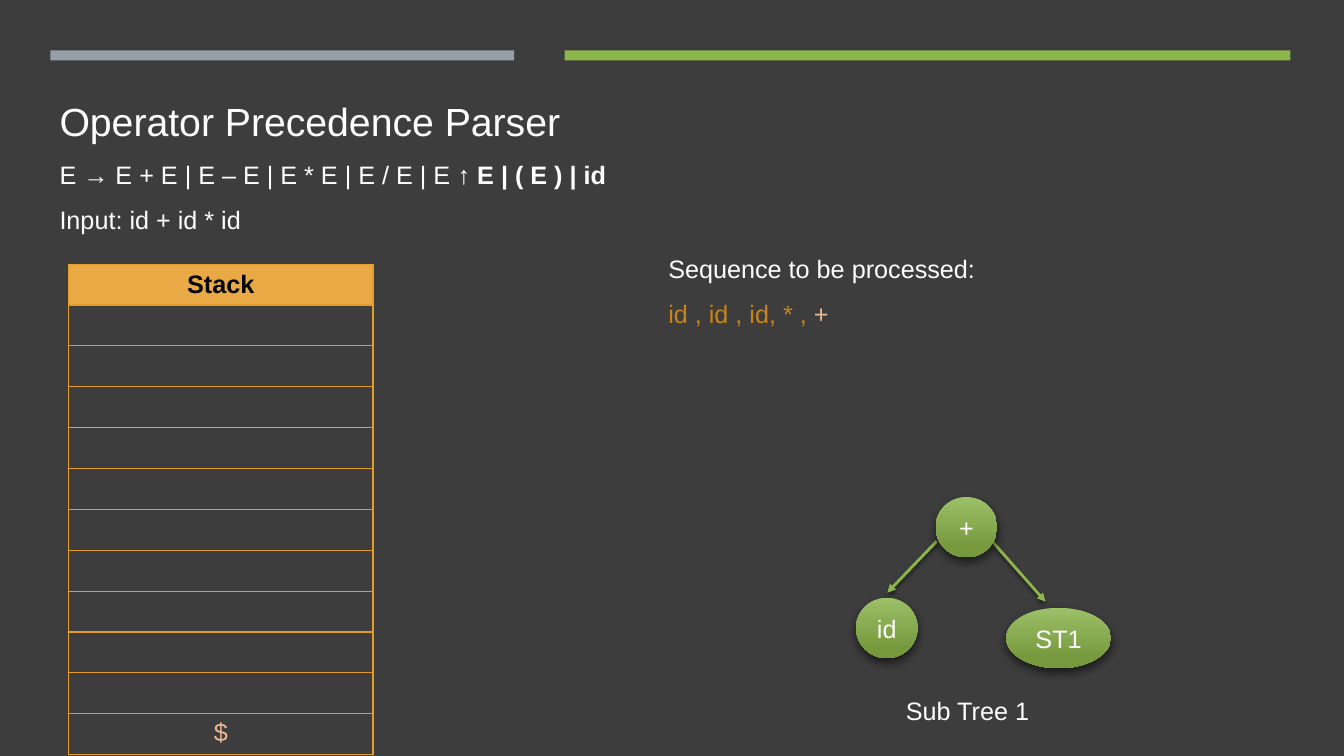
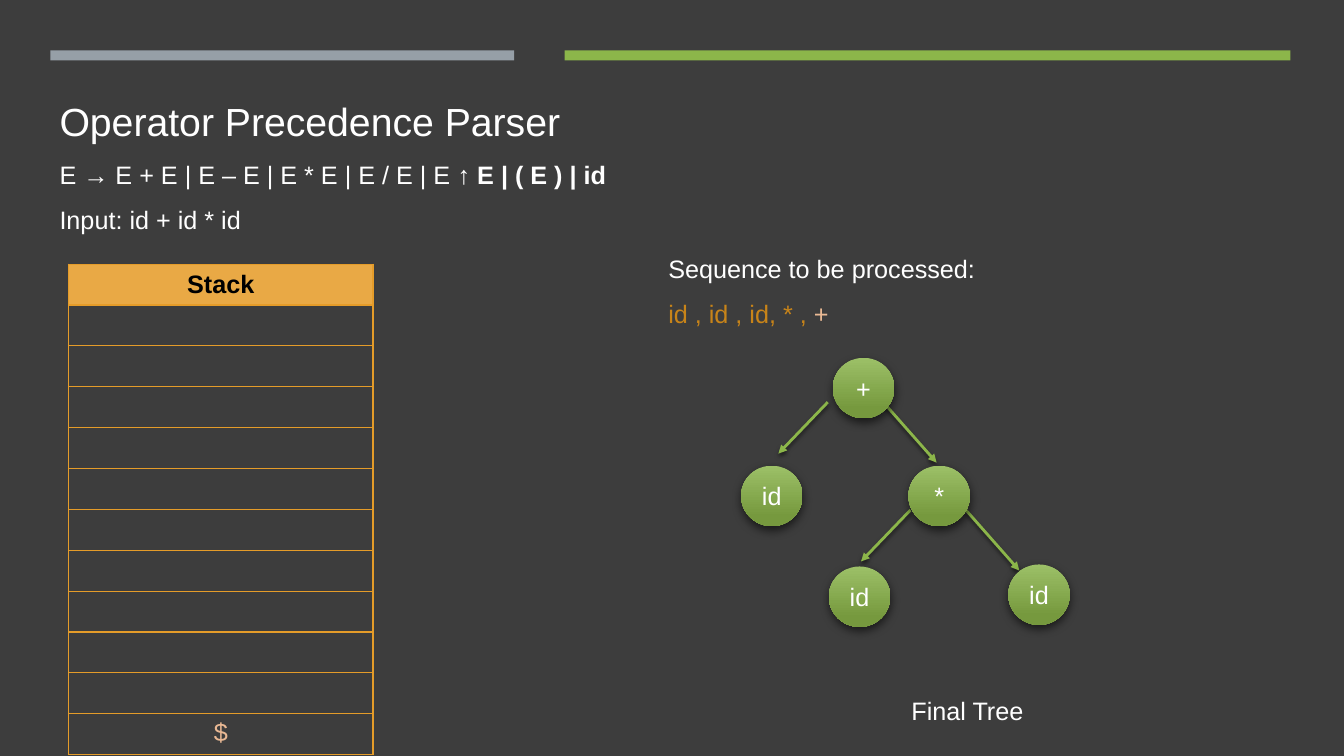
from lxml.etree import SubElement
from pptx import Presentation
from pptx.dml.color import RGBColor
from pptx.enum.shapes import MSO_CONNECTOR, MSO_SHAPE
from pptx.enum.text import MSO_ANCHOR, MSO_AUTO_SIZE, PP_ALIGN
from pptx.oxml.ns import qn
from pptx.util import Inches, Pt

BACKGROUND = RGBColor(0x3D, 0x3D, 0x3D)
WHITE = RGBColor(0xFF, 0xFF, 0xFF)
BLACK = RGBColor(0x00, 0x00, 0x00)
GRAY = RGBColor(0x96, 0x9F, 0xA7)
GREEN = RGBColor(0x8C, 0xB6, 0x4A)
LIGHT_GREEN = RGBColor(0x9C, 0xC0, 0x67)
DARK_GREEN = RGBColor(0x76, 0x99, 0x3E)
HEADER_ORANGE = RGBColor(0xE9, 0xA9, 0x45)
BORDER_ORANGE = RGBColor(0xE5, 0x9C, 0x29)
DONE_ORANGE = RGBColor(0xC8, 0x84, 0x19)
PEACH = RGBColor(0xEA, 0xB9, 0x94)

FONT = "Arial"
STACK_ROWS = 12
NODE_WIDTH, NODE_HEIGHT = 0.61, 0.6
BANDS = [(0.5, 4.6, GRAY), (5.6, 7.2, GREEN)]
TITLE_LINES = [
    [("Operator Precedence Parser", 28, False)],
    [("E\u00a0→ E + E | E – E | E * E | E / E | E\u00a0", 18, False),
     ("↑ E | ( E ) | id", 18, True)],
    [("Input: id + id * id", 18, False)],
]
SEQUENCE = [
    [("Sequence to be processed:", WHITE)],
    [("id , id , id, * , ", DONE_ORANGE), ("+", PEACH)],
]
BRANCHES = [((0, 0), (-0.49, 0.51)), ((0.55, 0), (1.08, 0.6))]
TREES = [
    {
        "caption": "Sub Tree 1",
        "forks": [(9.29, 5.37)],
        "nodes": [("id", 8.49, 5.93, NODE_WIDTH), ("ST1", 9.98, 6.03, 1.04),
                  ("+", 9.28, 4.93, NODE_WIDTH)],
    },
    {
        "caption": "Final Tree",
        "forks": [(9.03, 5.06), (8.21, 3.99)],
        "nodes": [("id", 7.35, 4.62, NODE_WIDTH), ("id", 8.22, 5.62, NODE_WIDTH),
                  ("id", 10, 5.6, NODE_WIDTH), ("*", 9.01, 4.62, NODE_WIDTH),
                  ("+", 8.26, 3.55, NODE_WIDTH)],
    },
]


def style(font, color=WHITE, size=18, bold=False):
    font.name = FONT
    font.size = Pt(size)
    font.bold = bold
    font.color.rgb = color


def add_shadow(shape, opacity, blur, distance, angle):
    effects = SubElement(shape._element.spPr, qn("a:effectLst"))
    shadow = SubElement(effects, qn("a:outerShdw"), blurRad=str(Pt(blur)),
                        dist=str(Pt(distance)), dir=str(angle * 60000),
                        algn="ctr", rotWithShape="0")
    color = SubElement(shadow, qn("a:srgbClr"), val=str(BLACK))
    SubElement(color, qn("a:alpha"), val=str(opacity * 1000))


deck = Presentation()
deck.slide_width = Inches(13.33)
deck.slide_height = Inches(7.5)
background = deck.slide_master.background.fill
background.solid()
background.fore_color.rgb = BACKGROUND

for tree in TREES:
    page = deck.slides.add_slide(deck.slide_layouts[5])
    shapes = page.shapes

    title = shapes.title
    title.left, title.top = Inches(0.49), Inches(0.55)
    title.width, title.height = Inches(6.74), Inches(1.96)
    frame = title.text_frame
    frame.word_wrap = True
    frame.auto_size = MSO_AUTO_SIZE.NONE
    frame.vertical_anchor = MSO_ANCHOR.MIDDLE
    para = frame.paragraphs[0]
    para.alignment = PP_ALIGN.LEFT
    para.line_spacing = 1.5
    for index, line in enumerate(TITLE_LINES):
        if index:
            para.add_line_break()
        for text, size, bold in line:
            span = para.add_run()
            span.text = text
            style(span.font, size=size, bold=bold)

    for left, width, color in BANDS:
        band = shapes.add_shape(MSO_SHAPE.RECTANGLE, Inches(left), Inches(0.5),
                                Inches(width), Inches(0.1))
        band.shadow.inherit = False
        band.fill.solid()
        band.fill.fore_color.rgb = color
        band.line.fill.background()

    stack = shapes.add_table(STACK_ROWS, 1, Inches(0.68), Inches(2.62),
                             Inches(3.02), Inches(4.87)).table
    stack.horz_banding = False
    for cell in stack.iter_cells():
        properties = cell._tc.get_or_add_tcPr()
        for side in ("lnL", "lnR", "lnT", "lnB"):
            border = SubElement(properties, qn(f"a:{side}"), w=str(Pt(1)))
            paint = SubElement(border, qn("a:solidFill"))
            SubElement(paint, qn("a:srgbClr"), val=str(BORDER_ORANGE))
        cell.fill.background()
    for row, text, color, bold in [(0, "Stack", BLACK, True),
                                   (STACK_ROWS - 1, "$", PEACH, False)]:
        cell = stack.cell(row, 0)
        cell.text = text
        para = cell.text_frame.paragraphs[0]
        para.alignment = PP_ALIGN.CENTER
        style(para.font, color, bold=bold)
    header = stack.cell(0, 0)
    header.vertical_anchor = MSO_ANCHOR.MIDDLE
    header.fill.solid()
    header.fill.fore_color.rgb = HEADER_ORANGE

    box = shapes.add_textbox(Inches(6.53), Inches(2.31), Inches(5.86), Inches(0.97))
    frame = box.text_frame
    frame.word_wrap = True
    frame.auto_size = MSO_AUTO_SIZE.SHAPE_TO_FIT_TEXT
    for index, line in enumerate(SEQUENCE):
        para = frame.add_paragraph() if index else frame.paragraphs[0]
        para.line_spacing = 1.5
        for text, color in line:
            span = para.add_run()
            span.text = text
            style(span.font, color)

    for x, y in tree["forks"]:
        for start, end in BRANCHES:
            arrow = shapes.add_connector(
                MSO_CONNECTOR.STRAIGHT, Inches(x + start[0]), Inches(y + start[1]),
                Inches(x + end[0]), Inches(y + end[1]))
            arrow.line.color.rgb = GREEN
            arrow.line.width = Pt(2)
            SubElement(arrow.line._get_or_add_ln(), qn("a:tailEnd"), type="triangle")
            add_shadow(arrow, 55, 3, 2, 90)

    for text, left, top, width in tree["nodes"]:
        node = shapes.add_shape(MSO_SHAPE.OVAL, Inches(left), Inches(top),
                                Inches(width), Inches(NODE_HEIGHT))
        node.fill.gradient()
        node.fill.gradient_angle = 270
        stops = node.fill.gradient_stops
        for stop, position, color in zip(stops, (0, 0.84), (LIGHT_GREEN, DARK_GREEN)):
            stop.position = position
            stop.color.rgb = color
        node.line.fill.background()
        add_shadow(node, 60, 7, 3, 84)
        node.text_frame.text = text
        para = node.text_frame.paragraphs[0]
        para.alignment = PP_ALIGN.CENTER
        style(para.font)

    caption = shapes.add_textbox(Inches(8.75), Inches(6.7), Inches(1.69), Inches(0.52))
    frame = caption.text_frame
    frame.word_wrap = True
    frame.auto_size = MSO_AUTO_SIZE.SHAPE_TO_FIT_TEXT
    frame.text = tree["caption"]
    para = frame.paragraphs[0]
    para.alignment = PP_ALIGN.CENTER
    para.line_spacing = 1.5
    style(para.font)

deck.save("out.pptx")
